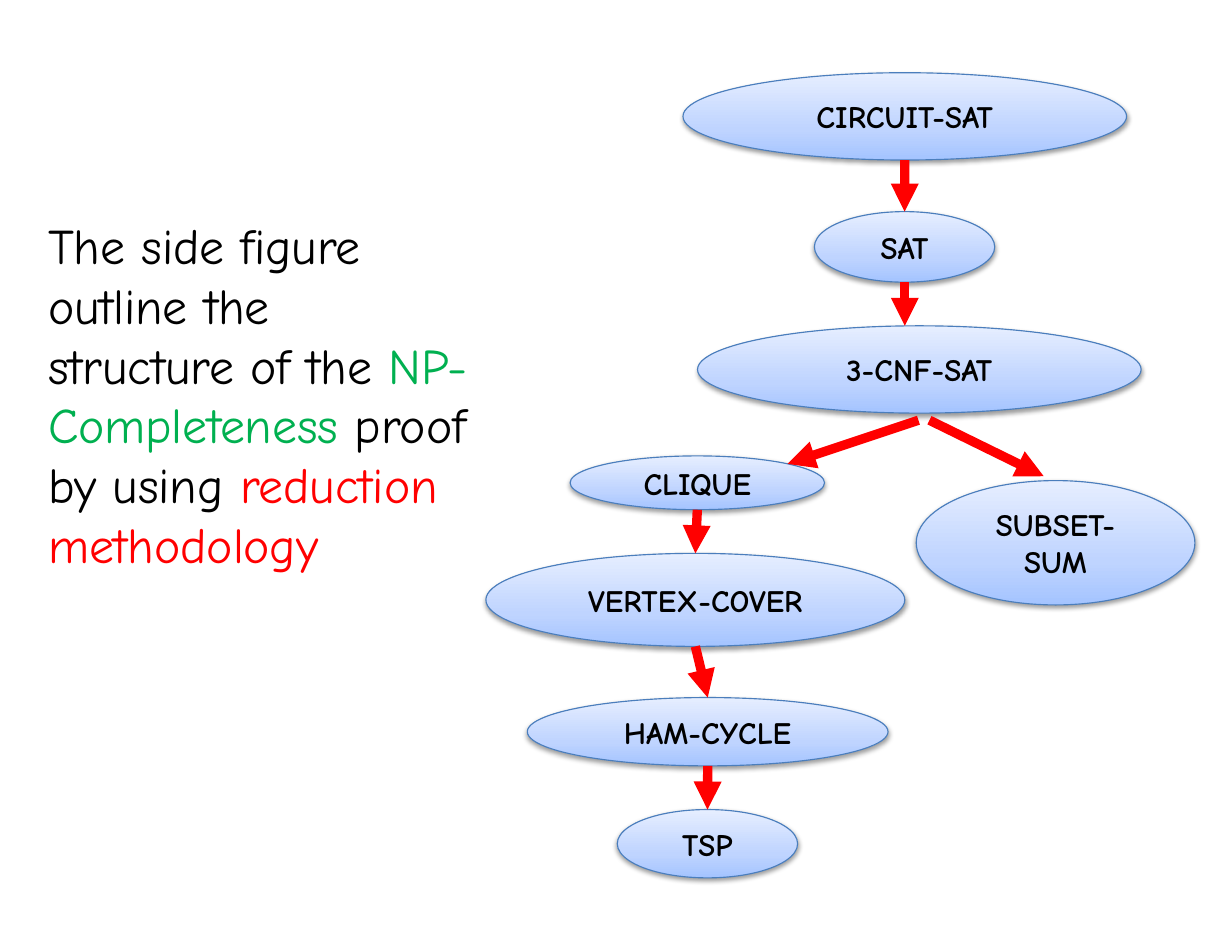
"""Build a slide that outlines the chain of NP-completeness reductions."""
from dataclasses import dataclass

import lxml.etree
import pptx
import pptx.dml.color
import pptx.enum.shapes
import pptx.enum.text
import pptx.oxml
import pptx.oxml.ns
import pptx.util

Cm = pptx.util.Cm
Pt = pptx.util.Pt
RGBColor = pptx.dml.color.RGBColor

BLACK = RGBColor(0x00, 0x00, 0x00)
GREEN = RGBColor(0x00, 0xB0, 0x50)
RED = RGBColor(0xFF, 0x00, 0x00)
OUTLINE = RGBColor(0x4B, 0x7E, 0xBC)
GRADIENT = (
    (0, RGBColor(0xA4, 0xC4, 0xFF)),
    (35, RGBColor(0xBF, 0xD4, 0xFF)),
    (100, RGBColor(0xE6, 0xEE, 0xFF)),
)
FONT = "Comic Neue"


@dataclass(frozen=True)
class Problem:
    name: str
    left: float
    top: float
    width: float
    height: float


@dataclass(frozen=True)
class Branch:
    start: tuple[float, float]
    end: tuple[float, float]


PROBLEMS = (
    Problem("CIRCUIT-SAT", 15.49, 1.65, 10.06, 1.98),
    Problem("SAT", 18.47, 4.8, 4.09, 1.6),
    Problem("SUBSET-SUM", 20.78, 10.9, 6.32, 2.82),
    Problem("3-CNF-SAT", 15.82, 7.39, 10.06, 1.98),
    Problem("CLIQUE", 12.93, 10.34, 5.77, 1.22),
    Problem("HAM-CYCLE", 11.96, 15.82, 8.18, 1.55),
    Problem("VERTEX-COVER", 11.02, 12.55, 9.5, 2.11),
    Problem("TSP", 14, 18.36, 4.09, 1.55),
)
REDUCTIONS = (
    ("CIRCUIT-SAT", "SAT"),
    ("CLIQUE", "VERTEX-COVER"),
    ("VERTEX-COVER", "HAM-CYCLE"),
    ("HAM-CYCLE", "TSP"),
)
BRANCHES = (
    Branch((20.52, 6.4), (20.52, 7.39)),
    Branch((20.83, 9.53), (17.86, 10.52)),
    Branch((21.08, 9.53), (23.67, 10.8)),
)
STATEMENT = (
    ("The side figure outline the structure of the ", BLACK),
    ("NP- Completeness ", GREEN),
    ("proof by using ", BLACK),
    ("reduction methodology", RED),
)


def add_text(paragraph, text: str, *, size: float, color: RGBColor = BLACK,
             bold: bool = False, spacing: int = 0) -> None:
    run = paragraph.add_run()
    run.text = text
    run.font.name = FONT
    run.font.size = Pt(size)
    run.font.bold = bold
    run.font.color.rgb = color
    if spacing:
        run.font._element.set("spc", str(spacing))


def add_statement(slide) -> None:
    statement = slide.shapes.add_textbox(Cm(0.84), Cm(4.75), Cm(10.06), Cm(9.83))
    statement.text_frame.word_wrap = True
    for words, color in STATEMENT:
        add_text(statement.text_frame.paragraphs[0], words, size=32, color=color, spacing=-10)


def shade(ellipse) -> None:
    ellipse.fill.gradient()
    ellipse.fill.gradient_angle = 90
    stops = ellipse._element.spPr.find(".//" + pptx.oxml.ns.qn("a:gsLst"))
    for stop in list(stops):
        stops.remove(stop)
    for position, color in GRADIENT:
        stop = lxml.etree.SubElement(stops, pptx.oxml.ns.qn("a:gs"), pos=str(position * 1000))
        lxml.etree.SubElement(stop, pptx.oxml.ns.qn("a:srgbClr"), val=str(color))
    ellipse.shadow.inherit = False
    effects = ellipse._element.spPr.find(pptx.oxml.ns.qn("a:effectLst"))
    effects.append(pptx.oxml.parse_xml(
        f'<a:outerShdw {pptx.oxml.ns.nsdecls("a")} blurRad="40000" dist="20000" '
        'dir="5400000" rotWithShape="0"><a:srgbClr val="000000">'
        '<a:alpha val="38000"/></a:srgbClr></a:outerShdw>'))


def add_problem(slide, problem: Problem):
    ellipse = slide.shapes.add_shape(
        pptx.enum.shapes.MSO_SHAPE.OVAL, Cm(problem.left), Cm(problem.top),
        Cm(problem.width), Cm(problem.height))
    ellipse.line.color.rgb = OUTLINE
    ellipse.line.width = Pt(0.75)
    shade(ellipse)
    ellipse.text_frame.word_wrap = True
    ellipse.text_frame.vertical_anchor = pptx.enum.text.MSO_ANCHOR.MIDDLE
    label = ellipse.text_frame.paragraphs[0]
    label.alignment = pptx.enum.text.PP_ALIGN.CENTER
    add_text(label, problem.name, size=20, bold=True)
    return ellipse


def add_arrow(slide, start: tuple[int, int], end: tuple[int, int]):
    arrow = slide.shapes.add_connector(
        pptx.enum.shapes.MSO_CONNECTOR.STRAIGHT, *start, *end)
    arrow.line.color.rgb = RED
    arrow.line.width = Pt(6)
    lxml.etree.SubElement(
        arrow.line._get_or_add_ln(), pptx.oxml.ns.qn("a:tailEnd"), type="triangle")
    lxml.etree.SubElement(arrow._element.spPr, pptx.oxml.ns.qn("a:effectLst"))
    return arrow


def add_reduction(slide, source, target) -> None:
    bottom = (source.left + source.width // 2, source.top + source.height)
    top = (target.left + target.width // 2, target.top)
    add_arrow(slide, bottom, top).end_connect(target, 0)


def main() -> None:
    presentation = pptx.Presentation()
    presentation.slide_width = Cm(27.94)
    presentation.slide_height = Cm(21.59)
    slide = presentation.slides.add_slide(presentation.slide_layouts[6])
    add_statement(slide)
    ellipses = {problem.name: add_problem(slide, problem) for problem in PROBLEMS}
    for source, target in REDUCTIONS:
        add_reduction(slide, ellipses[source], ellipses[target])
    for branch in BRANCHES:
        add_arrow(slide, tuple(map(Cm, branch.start)), tuple(map(Cm, branch.end)))
    presentation.save("out.pptx")


if __name__ == "__main__":
    main()
